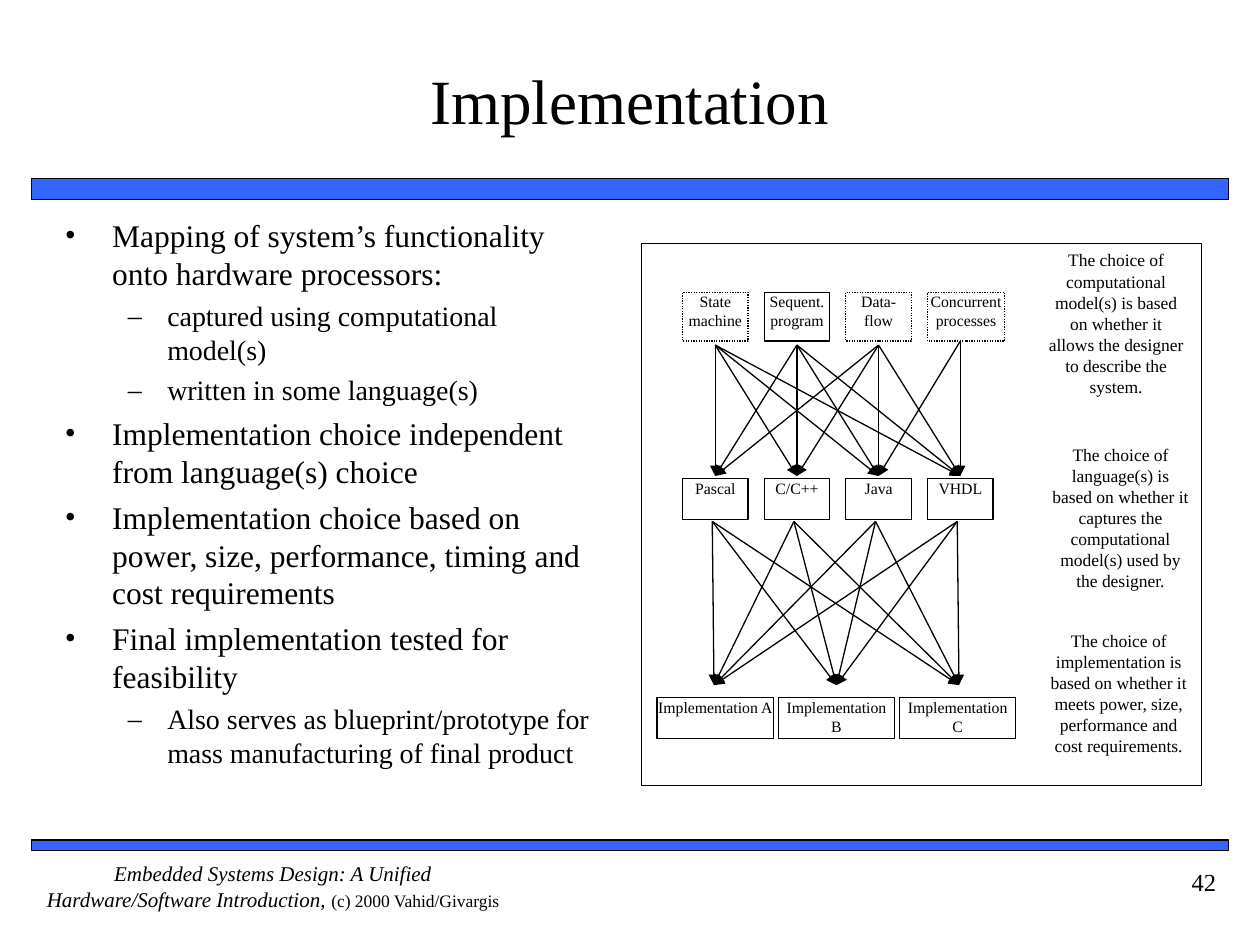
from lxml.etree import SubElement as Sub
from pptx import Presentation
from pptx.dml.color import RGBColor
from pptx.enum.dml import MSO_LINE as Dash
from pptx.enum.shapes import MSO_CONNECTOR as Conn, MSO_SHAPE as Shape
from pptx.enum.text import MSO_ANCHOR as Anchor, PP_ALIGN as Align
from pptx.oxml.ns import qn
from pptx.util import Pt

BLACK = RGBColor(0, 0, 0)
WHITE = RGBColor(255, 255, 255)
BLUE = RGBColor(0x33, 0x66, 0xFF)
FACE = "Times New Roman"

# Bullet sign, text size, left margin, hanging indent, space before
LEVELS = [("•", 18, 27, -27, 4.5), ("–", 16, 58.5, -22.5, 4)]
POINTS = [
    (0, "Mapping of system’s functionality onto hardware processors:"),
    (1, "captured using computational model(s)"),
    (1, "written in some language(s)"),
    (0, "Implementation choice independent from language(s) choice"),
    (0, "Implementation choice based on power, size, performance, timing and cost requirements"),
    (0, "Final implementation tested for feasibility"),
    (1, "Also serves as blueprint/prototype for mass manufacturing of final product"),
]
# Offset from the panel's left and top, width, text
NOTES = [
    (225, 0, 92.5, "The choice of computational model(s) is based on whether it "
                   "allows the designer to describe the system."),
    (227.5, 111, 92.5, "The choice of language(s) is based on whether it captures the "
                       "computational model(s) used by the designer."),
    (224.5, 217.5, 96.5, "The choice of implementation is based on whether it meets "
                         "power, size, performance and cost requirements."),
]
MODELS = ["State\nmachine", "Sequent.\nprogram", "Data-\nflow", "Concurrent processes"]
LANGS = ["Pascal", "C/C++", "Java", "VHDL"]
RESULTS = ["Implementation A", "Implementation\vB", "Implementation\vC"]


def style(font, size, **more):
    """Set the font values shared by all text."""
    font.color.rgb = BLACK
    for key, value in {"name": FACE, "size": Pt(size), **more}.items():
        setattr(font, key, value)


def frame(shape, pad=(7.2, 3.6), anchor=Anchor.TOP):
    """Prepare a shape's text frame with equal side insets."""
    text = shape.text_frame
    side, end = map(Pt, pad)
    values = {"word_wrap": True, "vertical_anchor": anchor,
              "margin_left": side, "margin_right": side,
              "margin_top": end, "margin_bottom": end}
    for key, value in values.items():
        setattr(text, key, value)
    return text


def write(shape, words, size, align=Align.CENTER, **look):
    text = frame(shape, **look)
    text.text = words
    for para in text.paragraphs:
        para.alignment = align
        for run in para.runs:
            style(run.font, size)


def label(slide, box):
    return slide.shapes.add_textbox(*map(Pt, box))


def rect(slide, box, fill=None, line=None, dash=None):
    shape = slide.shapes.add_shape(Shape.RECTANGLE, *map(Pt, box))
    shape.shadow.inherit = False
    if fill is None:
        shape.fill.background()
    else:
        shape.fill.solid()
        shape.fill.fore_color.rgb = fill
    if line is None:
        shape.line.fill.background()
    else:
        shape.line.color.rgb = BLACK
        shape.line.width = Pt(line)
        if dash:
            shape.line.dash_style = dash
    return shape


def arrow(slide, start, end):
    link = slide.shapes.add_connector(Conn.STRAIGHT, *map(Pt, (*start, *end)))
    link.line.color.rgb = BLACK
    link.line.width = Pt(0.75)
    Sub(link.line._get_or_add_ln(), qn("a:tailEnd"), type="triangle")
    Sub(link._element.spPr, qn("a:effectLst"))


def add_title(slide, box):
    write(label(slide, box), "Implementation", 36, pad=(0, 3.6), anchor=Anchor.MIDDLE)


def add_points(slide, box):
    text = frame(label(slide, box))
    for i, (level, words) in enumerate(POINTS):
        sign, size, left, hang, gap = LEVELS[level]
        para = text.add_paragraph() if i else text.paragraphs[0]
        para.level = level
        props = para._p.get_or_add_pPr()
        props.set("marL", str(Pt(left)))
        props.set("indent", str(Pt(hang)))
        Sub(props, qn("a:buFont"), typeface=FACE)
        Sub(props, qn("a:buChar"), char=sign)
        para.space_before = Pt(gap if i else 0)
        run = para.add_run()
        run.text = words
        style(run.font, size)


def add_nodes(slide, names, left, top, step, size, dash=None):
    """Draw a row of equal boxes."""
    for i, name in enumerate(names):
        wide = 6.5 if name.startswith("Concurrent") else 0
        box = (left + i * step, top, size[0] + wide, size[1])
        solid = name.startswith("Sequent")
        node = rect(slide, box, WHITE, 0.75, None if solid else dash)
        write(node, name, 9, pad=(0, 0))


def add_diagram(slide, box):
    x, y, wide, high = box
    for dx, dy, width, words in NOTES:
        write(rect(slide, (x + dx, y + dy, width, 90), WHITE), words, 10)

    # Rows of models, languages and implementations
    step = 46.67
    add_nodes(slide, MODELS, x + 23.5, y + 28, step, (37.5, 28), Dash.ROUND_DOT)
    add_nodes(slide, LANGS, x + 23.5, y + 134.5, step, (37.5, 23.5))
    add_nodes(slide, RESULTS, x + 9, y + 259.5, 69.25, (66.5, 23.5))

    # Concurrent processes lead only to the last two languages
    for i in range(len(MODELS)):
        for j in range(2 if i == 3 else 0, len(LANGS)):
            arrow(slide, (x + 42.2 + i * step, y + (56 if i == 3 else 58.2)),
                  (x + 42.2 + j * step, y + 133))
    # Every language leads to every implementation
    for i in range(len(LANGS)):
        for j in range(len(RESULTS)):
            arrow(slide, (x + 40.5 + i * step, y + 159),
                  (x + 41.5 + j * 70, y + 252.5))

    rect(slide, box, line=0.75)  # panel outline


def add_footer(slide, box):
    x, y, wide, high = box
    para = frame(label(slide, (x, y, 276, high)), pad=(0, 0)).paragraphs[0]
    para.alignment = Align.CENTER
    parts = [("Embedded Systems Design: A Unified Hardware/Software Introduction, ", 12, True),
             ("(c) 2000 Vahid/Givargis", 10, False)]
    for words, size, slant in parts:
        run = para.add_run()
        run.text = words
        style(run.font, size, italic=slant)
    write(label(slide, (x + wide - 72, y, 72, high)), "42", 14, Align.RIGHT)


def main():
    deck = Presentation()
    deck.slide_width, deck.slide_height = Pt(720), Pt(540)
    slide = deck.slides.add_slide(deck.slide_layouts[6])

    # Rules above and below the content
    for top, high in ((102, 12), (480, 6)):
        rect(slide, (18, top, 684, high), BLUE, 1)

    add_title(slide, (30, 12, 660, 90))
    add_points(slide, (30, 120, 315, 356))
    add_diagram(slide, (366.5, 139, 320, 310))
    add_footer(slide, (18, 492, 684, 36))
    deck.save("out.pptx")


if __name__ == "__main__":
    main()
